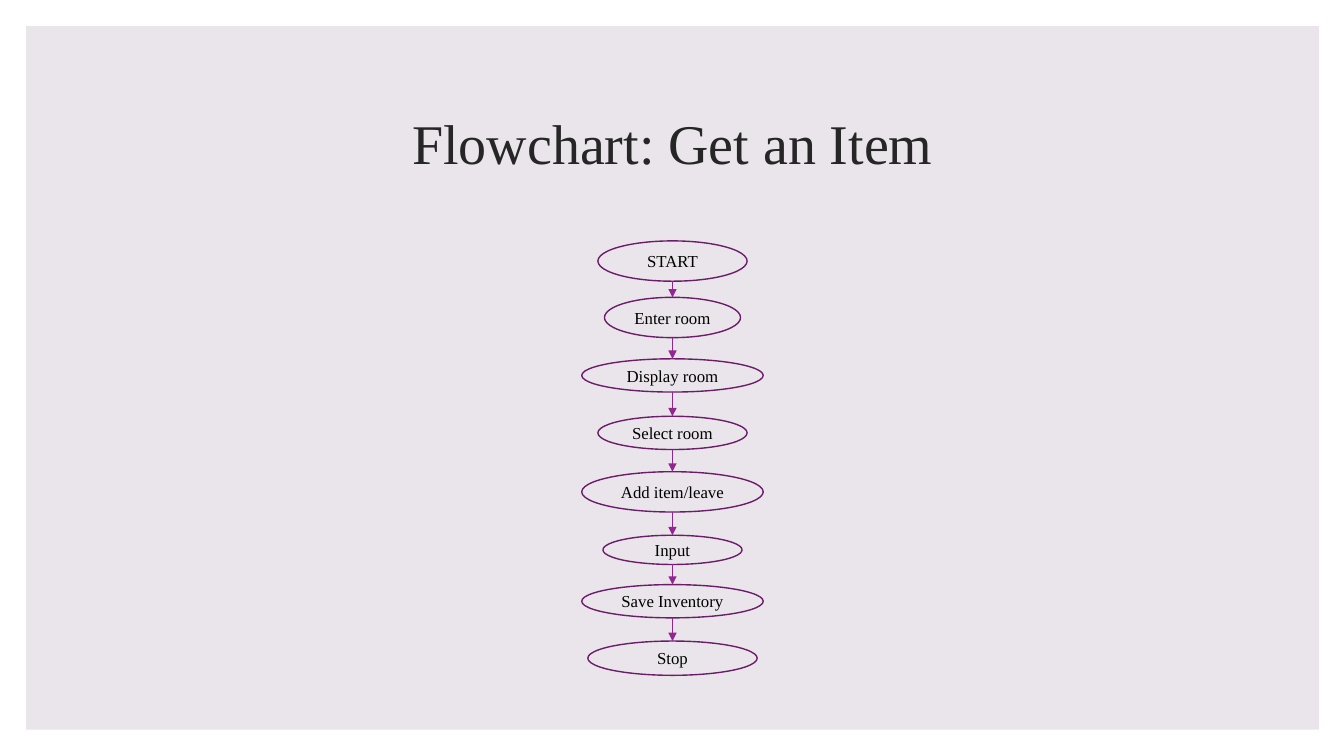
import pptx
import pptx.dml.color
import pptx.enum.shapes
import pptx.enum.text
import pptx.oxml
import pptx.oxml.ns
import pptx.util
from pptx.util import Inches

SHAPES = pptx.enum.shapes.MSO_SHAPE
ELLIPSE_BOTTOM_SITE = 4
CENTER_X = 6.67
STEPS = [
    ("START", 2.39, 1.48, 0.4),
    ("Enter room", 2.95, 1.35, 0.4),
    ("Display room", 3.56, 1.8, 0.33),
    ("Select room", 4.13, 1.48, 0.33),
    ("Add item/leave", 4.68, 1.8, 0.4),
    ("Input", 5.31, 1.38, 0.29),
    ("Save Inventory", 5.8, 1.8, 0.33),
    ("Stop", 6.36, 1.68, 0.34),
]


def color(value):
    return pptx.dml.color.RGBColor.from_string(value)


def write(shape, text, *, size, ink, font, spacing=None, wrap=False):
    frame = shape.text_frame
    frame.word_wrap = wrap
    frame.vertical_anchor = pptx.enum.text.MSO_ANCHOR.MIDDLE
    frame.margin_left = frame.margin_right = 0
    paragraph = frame.paragraphs[0]
    paragraph.alignment = pptx.enum.text.PP_ALIGN.CENTER
    paragraph.line_spacing = spacing
    run = paragraph.add_run()
    run.text = text
    run.font.size = pptx.util.Pt(size)
    run.font.name = font
    run.font.color.rgb = color(ink)


class FlowchartSlide:
    font = "Times New Roman"
    panel_fill = "EAE5EB"
    title_ink = "262626"
    step_ink = "000000"
    outline = "6C1D6A"
    arrow_ink = "92278F"

    def __init__(self, slide):
        self.slide = slide

    def panel(self, left, top, width, height):
        panel = self.slide.shapes.add_shape(
            SHAPES.RECTANGLE, Inches(left), Inches(top), Inches(width), Inches(height))
        panel.shadow.inherit = False
        panel.fill.solid()
        panel.fill.fore_color.rgb = color(self.panel_fill)
        panel.line.fill.background()

    def title(self, text, left, top, width, height):
        title = self.slide.shapes.add_textbox(
            Inches(left), Inches(top), Inches(width), Inches(height))
        write(title, text, size=40, ink=self.title_ink, font=self.font,
              spacing=0.9, wrap=True)

    def step(self, text, top, width, height):
        step = self.slide.shapes.add_shape(
            SHAPES.OVAL, Inches(CENTER_X - width / 2), Inches(top),
            Inches(width), Inches(height))
        step.shadow.inherit = False
        step.fill.background()
        step.line.color.rgb = color(self.outline)
        step.line.width = pptx.util.Pt(1)
        write(step, text, size=12, ink=self.step_ink, font=self.font)
        return step

    def arrow(self, source, target):
        arrow = self.slide.shapes.add_connector(
            pptx.enum.shapes.MSO_CONNECTOR.STRAIGHT, 0, 0, 0, 0)
        arrow.end_connect(target, 0)
        arrow.begin_connect(source, 0)
        arrow.begin_y = source.top + source.height
        start = arrow.element.find(".//" + pptx.oxml.ns.qn("a:stCxn"))
        start.set("idx", str(ELLIPSE_BOTTOM_SITE))
        arrow.line.color.rgb = color(self.arrow_ink)
        arrow.line.width = pptx.util.Pt(0.5)
        namespace = pptx.oxml.ns.nsdecls("a")
        arrow.line._get_or_add_ln().append(
            pptx.oxml.parse_xml(f'<a:tailEnd {namespace} type="triangle"/>'))
        arrow.element.spPr.append(pptx.oxml.parse_xml(f"<a:effectLst {namespace}/>"))


def main():
    presentation = pptx.Presentation()
    presentation.slide_width = Inches(13.33)
    presentation.slide_height = Inches(7.5)
    flowchart = FlowchartSlide(
        presentation.slides.add_slide(presentation.slide_layouts[6]))
    flowchart.panel(0.26, 0.26, 12.82, 6.98)
    flowchart.title("Flowchart: Get an Item", 1.17, 0.7, 11, 1.5)
    steps = [flowchart.step(*step) for step in STEPS]
    for source, target in zip(steps, steps[1:]):
        flowchart.arrow(source, target)
    presentation.save("out.pptx")


if __name__ == "__main__":
    main()
